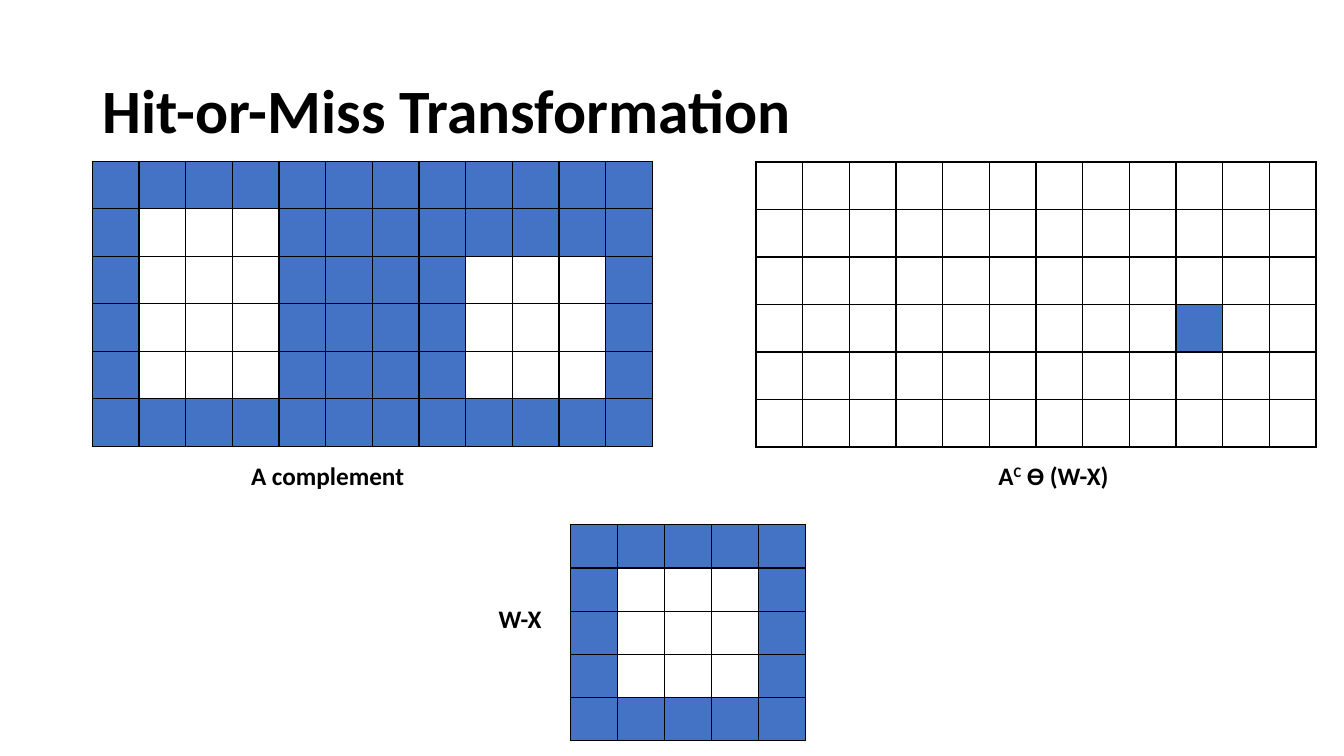
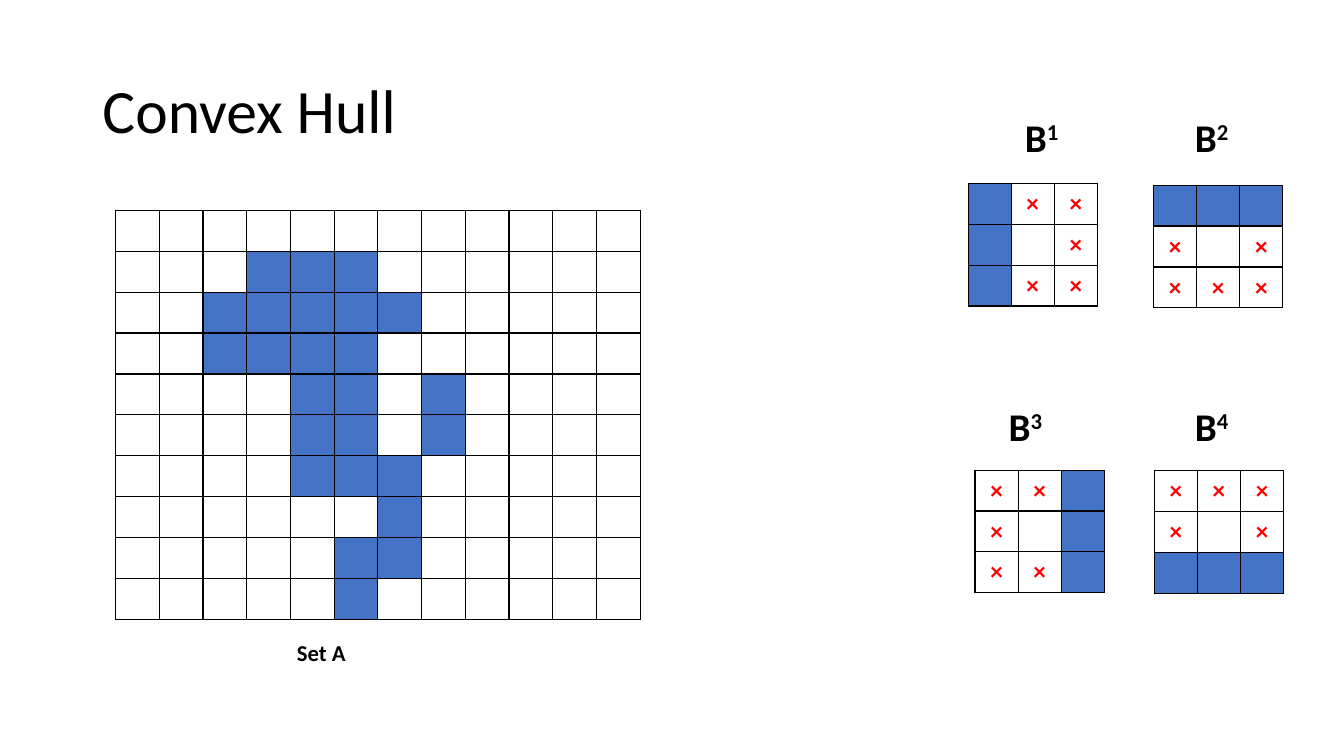
from lxml import etree
from pptx import Presentation
from pptx.dml.color import RGBColor
from pptx.enum.text import MSO_ANCHOR, PP_ALIGN
from pptx.oxml.ns import qn
from pptx.util import Pt

LEFT, CENTER = PP_ALIGN.LEFT, PP_ALIGN.CENTER
MIDDLE = MSO_ANCHOR.MIDDLE

BLACK = RGBColor(0x00, 0x00, 0x00)
WHITE = RGBColor(0xFF, 0xFF, 0xFF)
BLUE = RGBColor(0x44, 0x72, 0xC4)
RED = RGBColor(0xFF, 0x00, 0x00)
FONT = "Calibri"
TITLE_ONLY = 5
BORDERS = ("a:lnL", "a:lnR", "a:lnT", "a:lnB")
MARK_FORMAT = {"name": FONT, "size": Pt(18), "bold": True}

COMPLEMENT = [
    "############",
    "#...########",
    "#...####...#",
    "#...####...#",
    "#...####...#",
    "############",
]
EROSION = ["." * 12] * 3 + [".........#.."] + ["." * 12] * 2
WINDOW = ["#####"] + ["#...#"] * 3 + ["#####"]
SET_A = [
    "............",
    "...###......",
    "..#####.....",
    "..####......",
    "....##.#....",
    "....##.#....",
    "....###.....",
    "......#.....",
    ".....##.....",
    ".....#......",
]


def add_grid(slide, pattern, left, top, column_width, row_height):
    row_count, column_count = len(pattern), len(pattern[0])
    table = slide.shapes.add_table(
        row_count, column_count, Pt(left), Pt(top),
        Pt(column_width * column_count), Pt(row_height * row_count)).table
    table.first_row = False
    table.horz_banding = False
    for row_index, symbols in enumerate(pattern):
        for column_index, symbol in enumerate(symbols):
            cell = table.cell(row_index, column_index)
            properties = cell._tc.get_or_add_tcPr()
            for border in BORDERS:
                line = etree.SubElement(properties, qn(border), w=str(Pt(1)))
                fill = etree.SubElement(line, qn("a:solidFill"))
                etree.SubElement(fill, qn("a:srgbClr"), val=str(BLACK))
            cell.fill.solid()
            cell.fill.fore_color.rgb = BLUE if symbol == "#" else WHITE
            if symbol == "×":
                paragraph = cell.text_frame.paragraphs[0]
                paragraph.alignment = CENTER
                run = paragraph.add_run()
                run.text = symbol
                for attribute, value in MARK_FORMAT.items():
                    setattr(run.font, attribute, value)
                run.font.color.rgb = RED


def add_label(slide, parts, left, top, width, size):
    text_box = slide.shapes.add_textbox(Pt(left), Pt(top), Pt(width), Pt(72))
    frame = text_box.text_frame
    frame.word_wrap = True
    frame.vertical_anchor = MIDDLE
    paragraph = frame.paragraphs[0]
    paragraph.alignment = CENTER
    label_format = {"name": FONT, "size": Pt(size), "bold": True}
    for text, raised in parts:
        run = paragraph.add_run()
        run.text = text
        for attribute, value in label_format.items():
            setattr(run.font, attribute, value)
        run.font.color.rgb = BLACK
        if raised:
            run._r.get_or_add_rPr().set("baseline", "30000")


presentation = Presentation()
presentation.slide_width = Pt(960)
presentation.slide_height = Pt(540)
layout = presentation.slide_layouts[TITLE_ONLY]
layout_title = layout.placeholders[0]
title_place = {"left": Pt(66), "top": Pt(28.75), "width": Pt(828), "height": Pt(104.4)}
for attribute, value in title_place.items():
    setattr(layout_title, attribute, value)

slides = []
for title, bold in (("Hit-or-Miss Transformation", True), ("Convex Hull", False)):
    slide = presentation.slides.add_slide(layout)
    frame = slide.shapes.title.text_frame
    frame.text = title
    frame.vertical_anchor = MIDDLE
    paragraph = frame.paragraphs[0]
    paragraph.alignment = LEFT
    paragraph.line_spacing = 0.9
    title_format = {"name": FONT, "size": Pt(44), "bold": bold}
    for attribute, value in title_format.items():
        setattr(paragraph.runs[0].font, attribute, value)
    paragraph.runs[0].font.color.rgb = BLACK
    slides.append(slide)
hit_or_miss, convex_hull = slides

add_grid(hit_or_miss, EROSION, 540, 115.7, 33.36, 33.95)
add_grid(hit_or_miss, COMPLEMENT, 66, 115.2, 33.36, 33.95)
add_grid(hit_or_miss, WINDOW, 407.5, 374.8, 33.6, 30.87)
add_label(hit_or_miss, [("A", False), ("C", True), (" Ɵ (W-X)", False)], 699, 303.3, 107, 18)
add_label(hit_or_miss, [("A complement", False)], 166, 303.3, 136, 18)
add_label(hit_or_miss, [("W-X", False)], 335.5, 406, 72, 18)

structuring_elements = [
    ("1", ["#××", "#.×", "#××"], 691.5, 131, 708, 61.5),
    ("2", ["###", "×.×", "×××"], 824, 132.3, 829.5, 61.5),
    ("3", ["××#", "×.#", "××#"], 696.5, 335.8, 696.5, 268),
    ("4", ["×××", "×.×", "###"], 824.5, 336.3, 829.5, 268),
]
for number, pattern, grid_left, grid_top, label_left, label_top in structuring_elements:
    add_grid(convex_hull, pattern, grid_left, grid_top, 30.8, 29.2)
    add_label(convex_hull, [("B", False), (number, True)], label_left, label_top, 72, 28)

add_grid(convex_hull, SET_A, 82.5, 150.3, 31.25, 29.2)
add_label(convex_hull, [("Set A", True)], 193.5, 434, 72, 28)

presentation.save("out.pptx")
